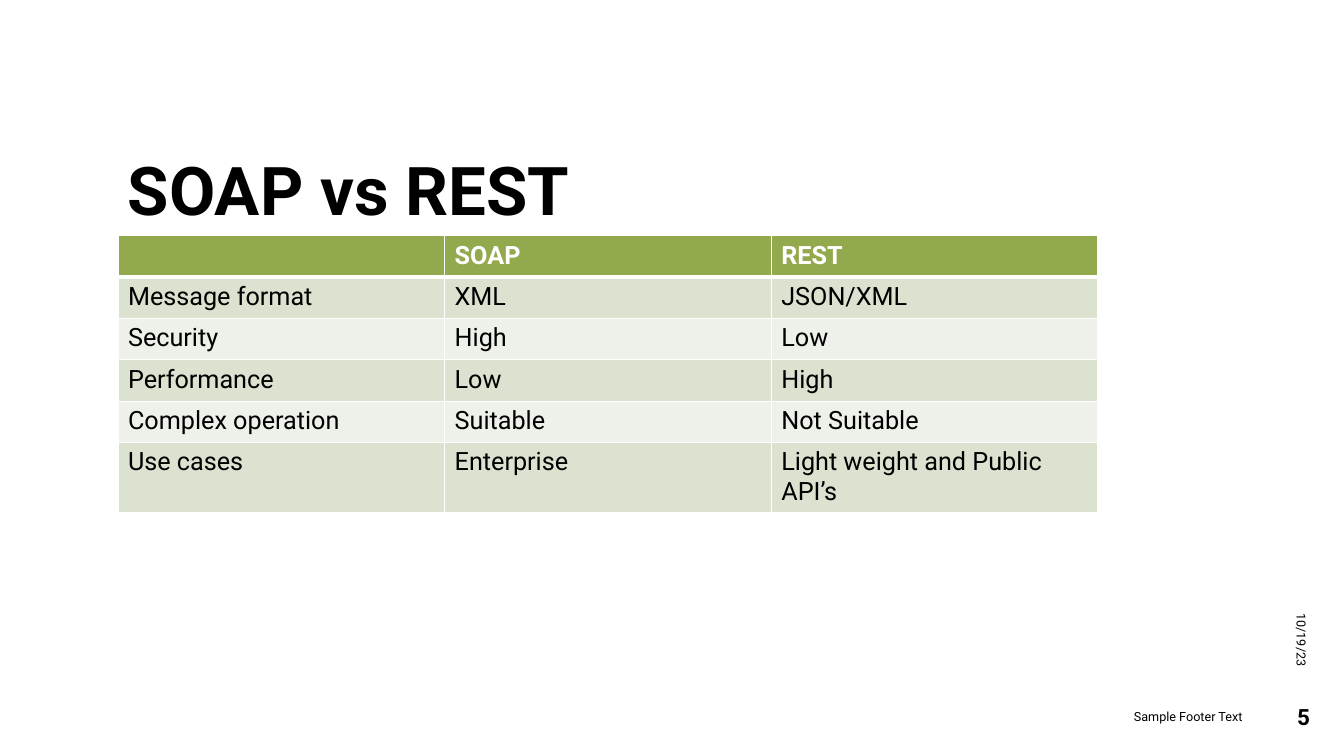
"""Build a slide that compares SOAP and REST in a table."""
from lxml.etree import SubElement
from pptx import Presentation
from pptx.dml.color import RGBColor
from pptx.enum.text import MSO_ANCHOR, PP_ALIGN
from pptx.oxml.ns import qn
from pptx.util import Inches, Pt

TITLE = "SOAP vs REST"
ROWS = [
    ("", "SOAP", "REST"),
    ("Message format", "XML", "JSON/XML"),
    ("Security", "High", "Low"),
    ("Performance", "Low", "High"),
    ("Complex operation", "Suitable", "Not Suitable"),
    ("Use cases", "Enterprise", "Light weight and Public API’s"),
]
FOOTERS = [
    ("10/19/23", (11.46, 5.06, 2.9, 0.4), 90, dict(size=9)),
    ("Sample Footer Text", (9.42, 6.91, 3, 0.4), 0, dict(size=9)),
    ("5", (12.42, 6.91, 0.67, 0.4), 0, dict(size=16, bold=True)),
]
FONT, BLACK, WHITE = "Roboto", "000000", "FFFFFF"
HEADER_FILL, BANDS = "93A94E", ("EEF1E9", "DCE2D0")
LEFT, TOP, COL_W, ROW_H, LAST_H = 1.17, 2.34, 3.24, 0.41, 0.68


def rgb(value):
    return RGBColor.from_string(value)


def write(tf, text, size=18, color=BLACK, bold=False, align=None, after=0, spacing=None):
    p = tf.paragraphs[0]
    p.alignment, p.space_after, p.line_spacing = align, Pt(after), spacing
    r = p.add_run()
    r.text = text
    r.font.name, r.font.size, r.font.bold = FONT, Pt(size), bold
    r.font.color.rgb = rgb(color)


def add_text(s, text, box, rotation=0, **fmt):
    sp = s.shapes.add_textbox(*map(Inches, box))
    sp.rotation = rotation
    tf = sp.text_frame
    tf.word_wrap, tf.vertical_anchor = True, MSO_ANCHOR.MIDDLE
    write(tf, text, **fmt)


def set_borders(cell, **widths):
    tc_pr = cell._tc.get_or_add_tcPr()
    for side in "LRTB":
        ln = SubElement(tc_pr, qn(f"a:ln{side}"), w=str(Pt(widths.get(side, 1))))
        fill = SubElement(ln, qn("a:solidFill"))
        SubElement(fill, qn("a:srgbClr"), val=WHITE)


def add_comparison(s):
    n_rows, n_cols = len(ROWS), len(ROWS[0])
    heights = [ROW_H] * (n_rows - 1) + [LAST_H]
    box = LEFT, TOP, COL_W * n_cols, sum(heights)
    table = s.shapes.add_table(n_rows, n_cols, *map(Inches, box)).table
    for col in table.columns:
        col.width = Inches(COL_W)
    for i, row in enumerate(ROWS):
        table.rows[i].height = Inches(heights[i])
        header = i == 0
        for j, text in enumerate(row):
            cell = table.cell(i, j)
            set_borders(cell, B=3 if header else 1, T=3 if i == 1 else 1)
            cell.fill.solid()
            cell.fill.fore_color.rgb = rgb(HEADER_FILL if header else BANDS[i % 2])
            if text:
                write(cell.text_frame, text, color=WHITE if header else BLACK, bold=header)


def main():
    prs = Presentation()
    prs.slide_width, prs.slide_height = Inches(13.33), Inches(7.5)
    s = prs.slides.add_slide(prs.slide_layouts[6])
    add_text(s, TITLE, (LEFT, 1.24, 8.32, 1.37), size=48, bold=True, spacing=0.9)
    add_comparison(s)
    for text, box, rotation, fmt in FOOTERS:
        add_text(s, text, box, rotation, align=PP_ALIGN.RIGHT, after=6, **fmt)
    prs.save("out.pptx")


if __name__ == "__main__":
    main()
